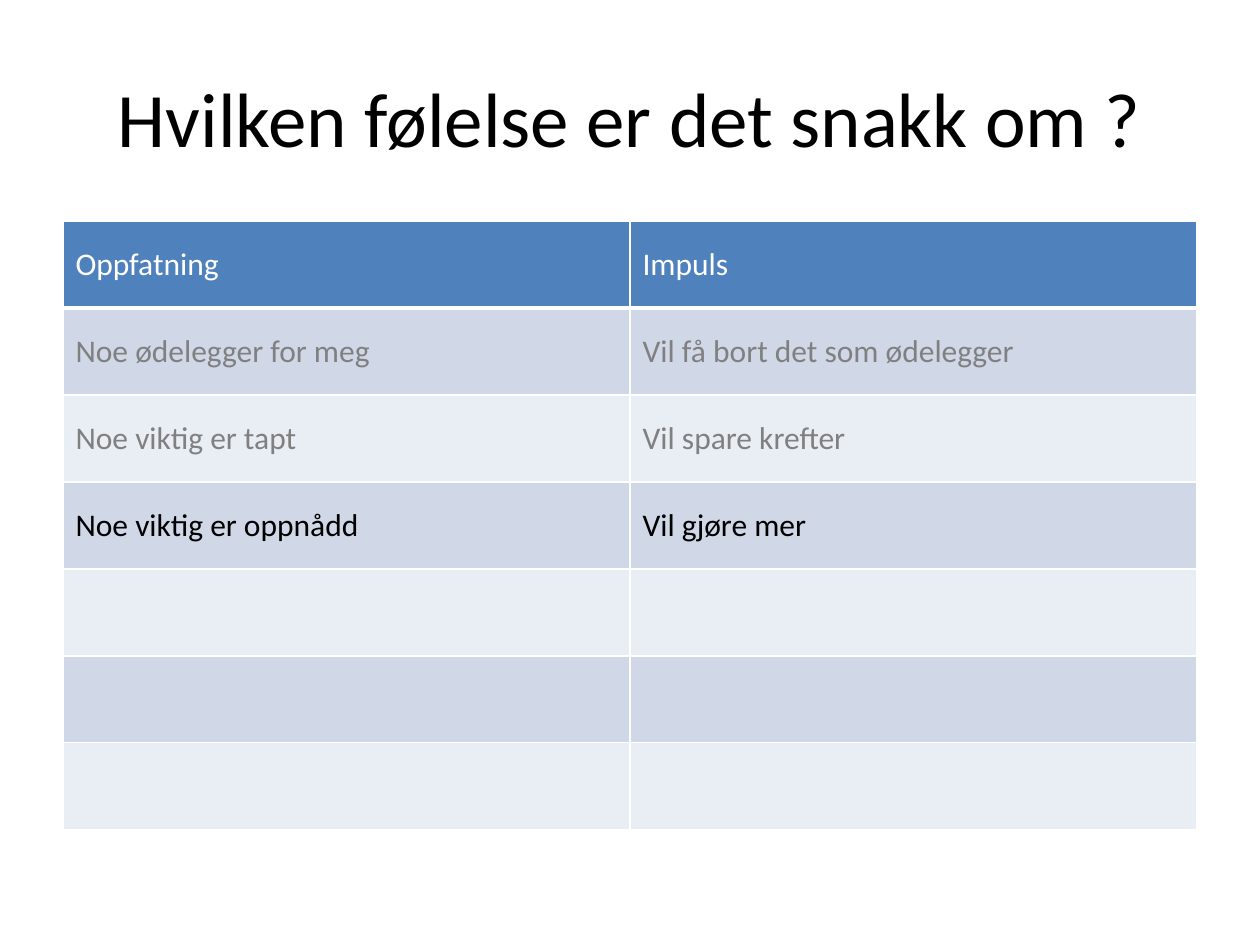
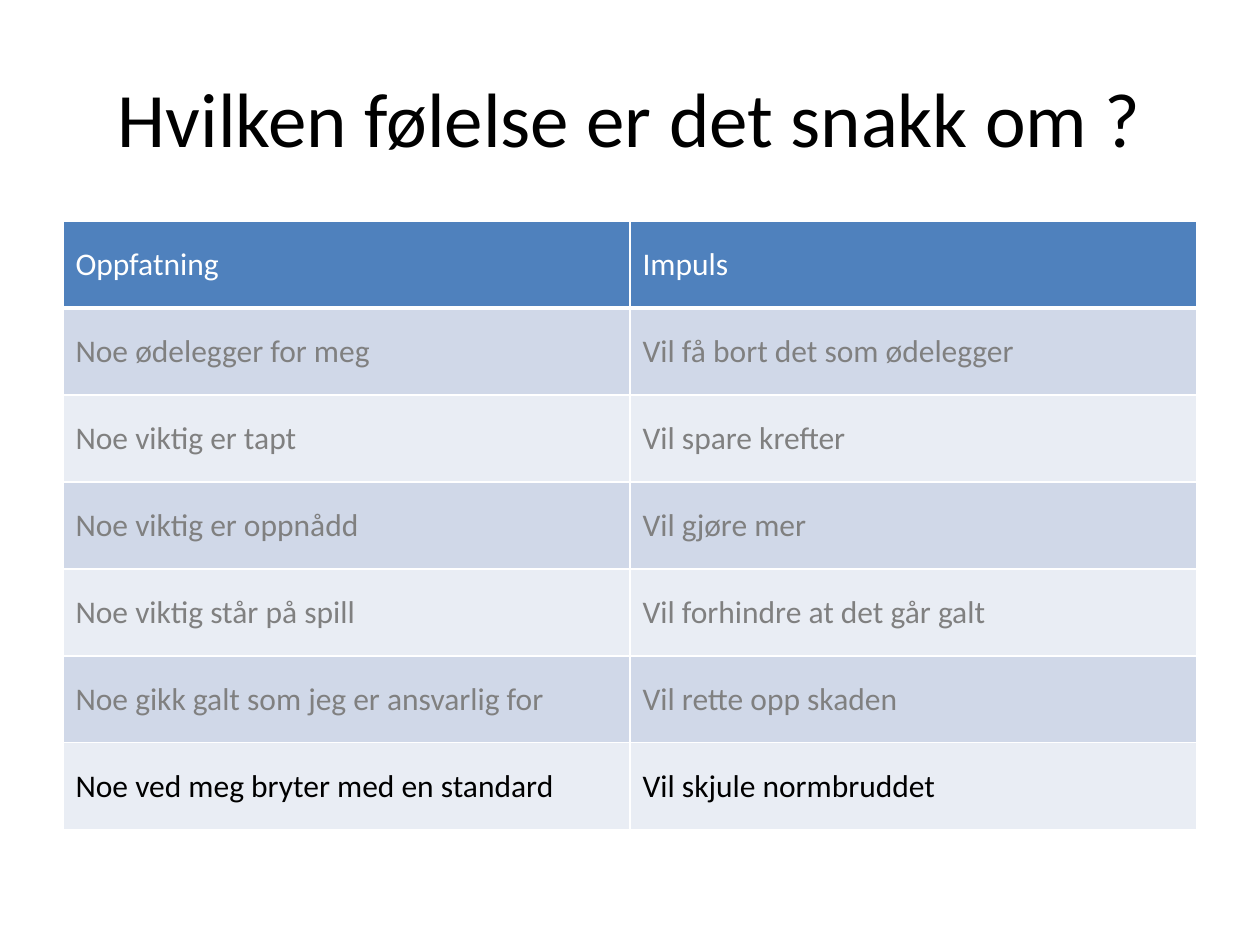
from lxml.etree import SubElement
from pptx import Presentation
from pptx.dml.color import RGBColor
from pptx.enum.text import MSO_ANCHOR, PP_ALIGN
from pptx.oxml.ns import qn
from pptx.util import Emu, Pt

TITLE = "Hvilken følelse er det snakk om ?"
HEADER = ("Oppfatning", "Impuls")
FEELINGS = [
    ("Noe ødelegger for meg", "Vil få bort det som ødelegger"),
    ("Noe viktig er tapt", "Vil spare krefter"),
    ("Noe viktig er oppnådd", "Vil gjøre mer"),
    ("Noe viktig står på spill", "Vil forhindre at det går galt"),
    ("Noe gikk galt som jeg er ansvarlig for", "Vil rette opp skaden"),
    ("Noe ved meg bryter med en standard", "Vil skjule normbruddet"),
]
SHOWN_COUNTS = (3, 6)  # feelings revealed on each slide; the last is current

FONT = "Calibri"
BLACK = RGBColor(0x00, 0x00, 0x00)
WHITE = RGBColor(0xFF, 0xFF, 0xFF)
GREY = RGBColor(0x80, 0x80, 0x80)
BLUE = RGBColor(0x4F, 0x81, 0xBD)
BANDS = (RGBColor(0xD0, 0xD8, 0xE8), RGBColor(0xE9, 0xED, 0xF4))

SLIDE_W, SLIDE_H = 1260, 945
LEFT, WIDTH = 63, 1134
TITLE_TOP, TITLE_H = 38, 157
TABLE_TOP, ROW_H = 221, 87


def px(n):
    """Turn pixels into EMU."""
    return Emu(round(n * 914400 / 126))


def add_run(p, text, size, color):
    """Add one styled run to a paragraph."""
    r = p.add_run()
    r.text = text
    r.font.name, r.font.size, r.font.bold = FONT, Pt(size), False
    r.font.color.rgb = color


def add_title(s):
    """Add the centred slide title."""
    tf = s.shapes.add_textbox(px(LEFT), px(TITLE_TOP), px(WIDTH), px(TITLE_H)).text_frame
    tf.word_wrap = True
    tf.vertical_anchor = MSO_ANCHOR.MIDDLE
    p = tf.paragraphs[0]
    p.alignment = PP_ALIGN.CENTER
    add_run(p, TITLE, 44, BLACK)


def set_borders(cell, bottom):
    """Draw white 1 pt borders, with the bottom width given in points."""
    props = cell._tc.get_or_add_tcPr()
    for i, (side, width) in enumerate((("L", 1), ("R", 1), ("T", 1), ("B", bottom))):
        ln = SubElement(props, qn("a:ln" + side), w=str(Pt(width)))
        fill = SubElement(ln, qn("a:solidFill"))
        SubElement(fill, qn("a:srgbClr"), val=str(WHITE))
        props.insert(i, ln)


def add_feelings(s, shown):
    """Add the table with the first feelings shown and the last one in black."""
    rows = [HEADER] + FEELINGS
    table = s.shapes.add_table(len(rows), len(HEADER), px(LEFT), px(TABLE_TOP),
                               px(WIDTH), px(ROW_H * len(rows))).table
    for i, row in enumerate(rows):
        table.rows[i].height = px(ROW_H)
        color = WHITE if i == 0 else BLACK if i == shown else GREY
        for j, text in enumerate(row):
            cell = table.cell(i, j)
            cell.vertical_anchor = MSO_ANCHOR.MIDDLE
            cell.fill.solid()
            cell.fill.fore_color.rgb = BANDS[(i - 1) % 2] if i else BLUE
            set_borders(cell, 1 if i else 3)
            if i <= shown:
                add_run(cell.text_frame.paragraphs[0], text, 18, color)


prs = Presentation()
prs.slide_width, prs.slide_height = px(SLIDE_W), px(SLIDE_H)
for shown in SHOWN_COUNTS:
    s = prs.slides.add_slide(prs.slide_layouts[6])
    add_title(s)
    add_feelings(s, shown)
prs.save("out.pptx")
